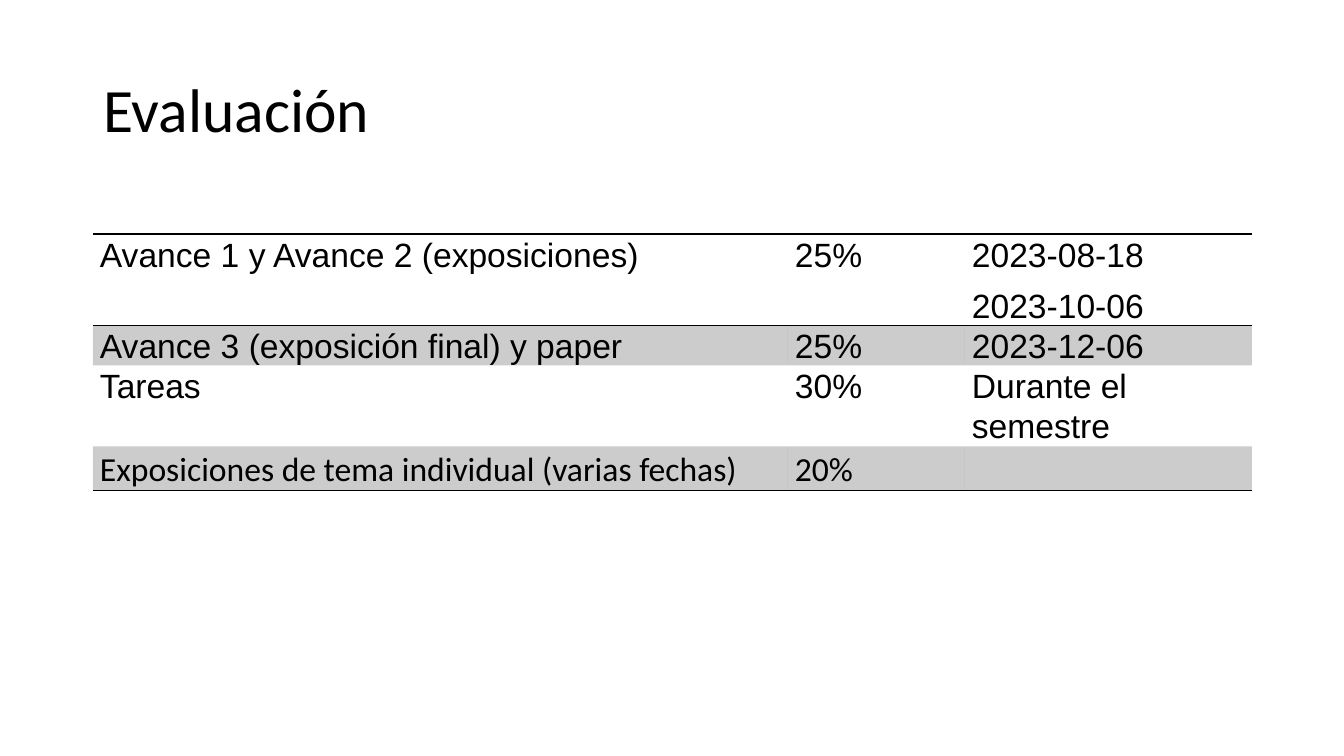
import lxml.etree
import pptx
import pptx.dml.color
import pptx.enum.text
import pptx.oxml.ns
import pptx.util

PX = 9144000 / 1008  # EMU per px, 100.8 px to the inch
THEME = {
    "ink": pptx.dml.color.RGBColor(0, 0, 0),
    "band": 20000,  # opacity of shaded rows, 1000 per percent
    "head": ("Calibri", 44),
    "body": ("Arial", 24),
    "last": ("Calibri", 24),
    "rule": 1,
}
PLAIN = "{2D5ABB26-0587-4C30-8999-92F81FD0307C}"  # table style without grid


def px(n):
    return pptx.util.Emu(round(n * PX))


def style(para, font, gap):
    para.line_spacing = gap
    for run in para.runs:
        run.font.name = font[0]
        run.font.size = pptx.util.Pt(font[1])
        run.font.color.rgb = THEME["ink"]


deck = pptx.Presentation()
deck.slide_width, deck.slide_height = px(1344), px(756)
slide = deck.slides.add_slide(deck.slide_layouts[5])

title = slide.shapes.title
title.left, title.top, title.width, title.height = px(93), px(40), px(1159), px(146)
frame = title.text_frame
frame.text = "Evaluación"
frame.auto_size = pptx.enum.text.MSO_AUTO_SIZE.NONE
frame.vertical_anchor = pptx.enum.text.MSO_ANCHOR.MIDDLE
frame.paragraphs[0].alignment = pptx.enum.text.PP_ALIGN.LEFT
style(frame.paragraphs[0], THEME["head"], 0.9)

# Texts, row height, shaded, ruled sides, font
rows = [
    (("Avance 1 y Avance 2 (exposiciones)", "25%", "2023-08-18\n2023-10-06"),
     91, False, ("lnT", "lnB"), "body"),
    (("Avance 3 (exposición final) y paper", "25%", "2023-12-06"),
     40, True, (), "body"),
    (("Tareas", "30%", "Durante el semestre"), 81, False, (), "body"),
    (("Exposiciones de tema individual (varias fechas)", "20%", ""),
     43, True, ("lnB",), "last"),
]
cols = [695, 177, 287]
grid = slide.shapes.add_table(
    len(rows), len(cols), px(93), px(234), px(sum(cols)), px(sum(r[1] for r in rows))
).table
grid.first_row = grid.horz_banding = False
qn = pptx.oxml.ns.qn
grid._tbl.tblPr.find(qn("a:tableStyleId")).text = PLAIN
for col, width in zip(grid.columns, cols):
    col.width = px(width)

for row, (texts, height, shaded, sides, font) in zip(grid.rows, rows):
    row.height = px(height)
    for cell, text in zip(row.cells, texts):
        cell.margin_left = cell.margin_right = px(7)
        cell.margin_top = cell.margin_bottom = 0
        cell.text_frame.text = text
        for para in cell.text_frame.paragraphs:
            para.space_after = pptx.util.Pt(8)
            style(para, THEME[font], 1.07)

        props = cell._tc.get_or_add_tcPr()
        for side in sides:
            line = lxml.etree.SubElement(props, qn("a:" + side))
            line.set("w", str(pptx.util.Pt(THEME["rule"])))
            paint = lxml.etree.SubElement(line, qn("a:solidFill"))
            tone = lxml.etree.SubElement(paint, qn("a:srgbClr"))
            tone.set("val", str(THEME["ink"]))
        if shaded:
            cell.fill.solid()
            cell.fill.fore_color.rgb = THEME["ink"]
            tone = props.find(qn("a:solidFill")).find(qn("a:srgbClr"))
            alpha = lxml.etree.SubElement(tone, qn("a:alpha"))
            alpha.set("val", str(THEME["band"]))
        else:
            cell.fill.background()

deck.save("out.pptx")
